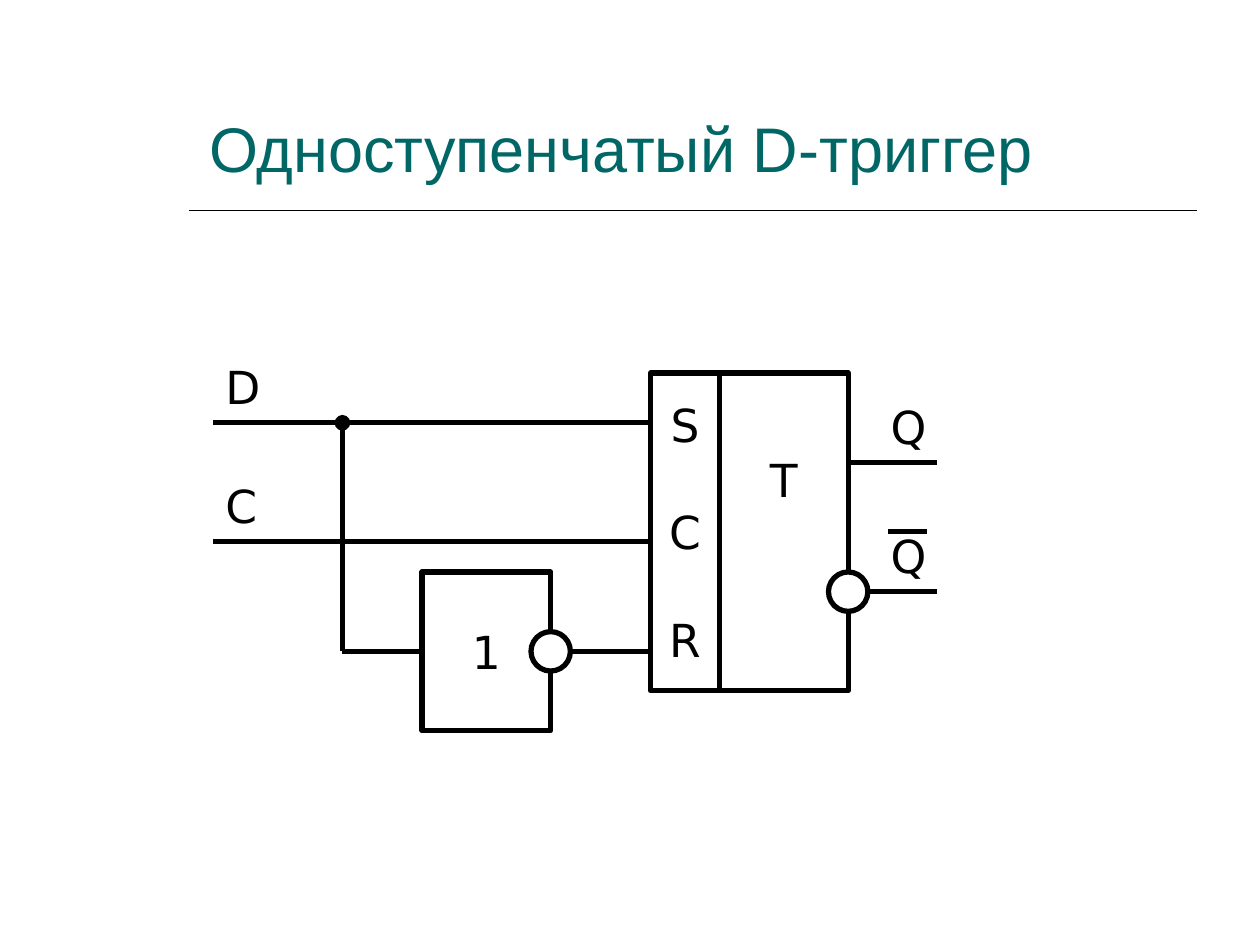
from collections import namedtuple

from pptx import Presentation
from pptx.dml.color import RGBColor
from pptx.enum.shapes import MSO_CONNECTOR, MSO_SHAPE
from pptx.enum.text import MSO_ANCHOR, MSO_AUTO_SIZE, PP_ALIGN
from pptx.oxml.ns import qn
from pptx.util import Pt

BLACK = RGBColor(0x00, 0x00, 0x00)
WHITE = RGBColor(0xFF, 0xFF, 0xFF)
TEAL = RGBColor(0x00, 0x66, 0x66)
LINE_HEIGHT = 30.25  # one line of 26 pt DejaVu Sans
LEFT_SIDE, RIGHT_SIDE = 1, 3

Box = namedtuple("Box", "left top width height")


def write_text(frame, lines, size=26, font="DejaVu Sans", color=BLACK,
               align=PP_ALIGN.LEFT, anchor=MSO_ANCHOR.TOP, wrap=True, gap=0):
    """Fill the frame with one paragraph a line, gap points apart."""
    frame.auto_size = MSO_AUTO_SIZE.NONE
    frame.word_wrap = wrap
    frame.vertical_anchor = anchor
    for index, line in enumerate(lines):
        para = frame.add_paragraph() if index else frame.paragraphs[0]
        para.alignment = align
        if index:
            para.space_before = Pt(gap)
        span = para.add_run()
        span.text = line
        span.font.size = Pt(size)
        span.font.name = font
        span.font.color.rgb = color


def add_line(page, start, end, width=3, dotted_start=False):
    line = page.shapes.add_connector(
        MSO_CONNECTOR.STRAIGHT, *(Pt(value) for value in (*start, *end)))
    line.line.color.rgb = BLACK
    line.line.width = Pt(width)
    properties = line._element.spPr
    if dotted_start:
        outline = line.line._get_or_add_ln()
        outline.append(outline.makeelement(qn("a:headEnd"), {"type": "oval"}))
    properties.append(properties.makeelement(qn("a:effectLst"), {}))
    return line


def add_outline(page, kind, box):
    shape = page.shapes.add_shape(kind, *(Pt(value) for value in box))
    shape.shadow.inherit = False
    shape.fill.solid()
    shape.fill.fore_color.rgb = WHITE
    shape.line.color.rgb = BLACK
    shape.line.width = Pt(3)
    return shape


def add_block(page, box, lines, gap=0, space_below=0):
    block = add_outline(page, MSO_SHAPE.RECTANGLE, box)
    write_text(block.text_frame, lines, align=PP_ALIGN.CENTER,
               anchor=MSO_ANCHOR.MIDDLE, wrap=False, gap=gap)
    block.text_frame.margin_bottom = Pt(3.6 + space_below)
    return block


def add_inversion(page, x, y, size=22.5):
    """Draw the circle of an inverted output, centred on x, y."""
    add_outline(page, MSO_SHAPE.OVAL, Box(x - size / 2, y - size / 2, size, size))


def add_label(page, text, x, wire_y):
    label = page.shapes.add_textbox(Pt(x), Pt(wire_y - 39.8), Pt(51), Pt(39))
    write_text(label.text_frame, [text])


def place_header(page, box):
    title = page.shapes.title
    title.left, title.top, title.width, title.height = (Pt(value) for value in box)
    write_text(title.text_frame, ["Одноступенчатый D-триггер"], size=36,
               font="Arial", color=TEAL, anchor=MSO_ANCHOR.BOTTOM)
    rule_y = box.top + box.height + 10.8
    add_line(page, (box.left - 4.3, rule_y), (box.left + 571.7, rule_y), width=1)


def place_trigger(page, box, wire_end):
    """Draw the trigger with its direct and inverted outputs."""
    inputs_width = 39.5
    right = box.left + box.width
    direct_y, inverted_y = box.top + 51, box.top + 125
    label_x = right + 17.2
    add_block(page, box._replace(width=inputs_width), ["S", "C", "R"], gap=LINE_HEIGHT)
    add_block(page, Box(box.left + inputs_width, box.top,
                        box.width - inputs_width, box.height),
              ["T"], space_below=2 * LINE_HEIGHT)
    for y in (direct_y, inverted_y):
        add_line(page, (right, y), (wire_end, y))
        add_label(page, "Q", label_x, y)
    overline_y = inverted_y - 34.2
    add_line(page, (label_x + 5.8, overline_y), (label_x + 28.1, overline_y))
    add_inversion(page, right, inverted_y)


def place_inverter(page, box, branch, wire_end):
    """Draw the inverter between the branch point and the R input."""
    right, middle = box.left + box.width, box.top + box.height / 2
    gate = add_block(page, box, ["1"])
    output = add_line(page, (right, middle), (wire_end, middle))
    output.begin_connect(gate, RIGHT_SIDE)
    add_inversion(page, right, middle)
    feed = add_line(page, (branch[0], middle), (box.left, middle))
    feed.end_connect(gate, LEFT_SIDE)
    add_line(page, branch, (branch[0], middle), dotted_start=True)


def place_diagram(page, box):
    trigger = Box(box.left + 250, box.top + 11.5, 113, 181.5)
    inverter = Box(box.left + 119.5, box.top + 125.25, 73.5, 90.75)
    data_y, clock_y = box.top + 40, box.top + 108
    place_trigger(page, trigger, box.left + box.width)
    for text, y in (("D", data_y), ("С", clock_y)):
        add_line(page, (box.left, y), (trigger.left, y))
        add_label(page, text, box.left, y)
    place_inverter(page, inverter, (box.left + 74, data_y), trigger.left)


def main():
    deck = Presentation()
    deck.slide_width, deck.slide_height = Pt(720), Pt(540)
    page = deck.slides.add_slide(deck.slide_layouts[5])
    place_header(page, Box(112.3, 28, 567.5, 81.5))
    place_diagram(page, Box(121.7, 201.6, 414, 216))
    deck.save("out.pptx")


if __name__ == "__main__":
    main()
